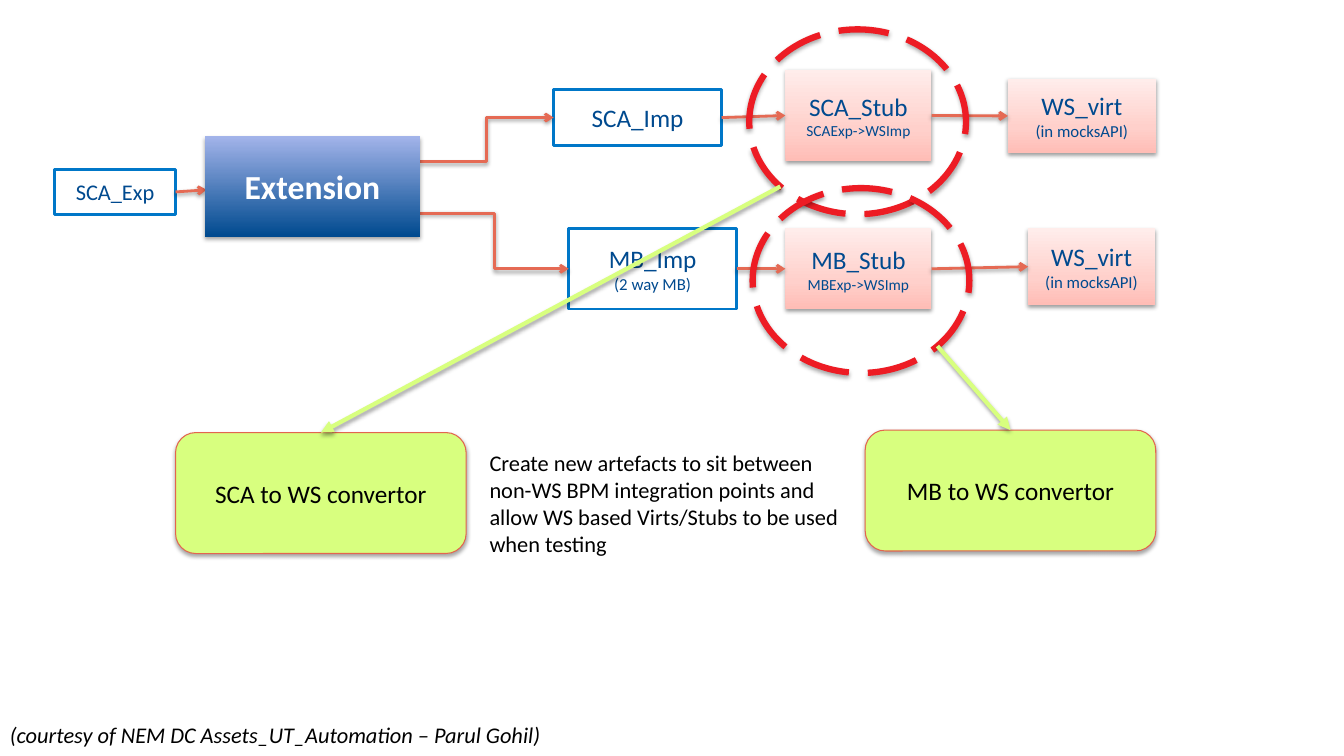
from copy import deepcopy
from lxml.etree import SubElement
from pptx import Presentation
from pptx.dml.color import RGBColor
from pptx.enum.dml import MSO_LINE
from pptx.enum.shapes import MSO_CONNECTOR as LINK, MSO_SHAPE as SHAPE
from pptx.enum.text import MSO_ANCHOR, PP_ALIGN
from pptx.oxml.ns import qn
from pptx.util import Inches, Pt

WIDTH, HEIGHT = Inches(13.33), Inches(7.5)
COLUMN, ROW = WIDTH / 16, HEIGHT / 9
FONT = "Calibri"
COLORS = {
    "navy": "004A8F", "blue": "0077C8", "periwinkle": "A3B4EA",
    "rose": "FFBDB6", "blush": "FFD0CB", "pale": "FFEDEB",
    "coral": "E56A54", "rust": "E3654F", "lime": "D8FF7F",
    "red": "ED1C24", "black": "000000", "white": "FFFFFF",
}
STUB_STOPS = [(0, "rose"), (0.35, "blush"), (1, "pale")]
EXTENSION_STOPS = [(0, "navy"), (1, "periwinkle")]
TOP, LEFT, BOTTOM, RIGHT = range(4)


def rgb(name):
    return RGBColor.from_string(COLORS[name])


def place(column, row):
    return round(column * COLUMN), round(row * ROW)


def add_shadow(spPr, distance=1.8, opacity=35):
    effects = spPr.find(qn("a:effectLst"))
    if effects is None:
        effects = SubElement(spPr, qn("a:effectLst"))
    shadow = SubElement(effects, qn("a:outerShdw"), blurRad=str(Pt(3.1)),
                        dist=str(Pt(distance)), dir="5400000", rotWithShape="0")
    color = SubElement(shadow, qn("a:srgbClr"), val=COLORS["black"])
    SubElement(color, qn("a:alpha"), val=str(opacity * 1000))


def write(frame, lines, color, bold=None, italic=None, align=None):
    frame.word_wrap = True
    frame.text = "\n".join(text for text, size in lines)
    for paragraph, (text, size) in zip(frame.paragraphs, lines):
        paragraph.alignment = align
        for run in paragraph.runs:
            font = run.font
            font.name, font.size = FONT, Pt(size)
            font.bold, font.italic = bold, italic
            font.color.rgb = rgb(color)


def add_block(slide, kind, grid, lines=(), text_color="navy", bold=None,
              fill=None, stops=None, outline=None, weight=2):
    block = slide.shapes.add_shape(kind, *place(*grid[:2]), *place(*grid[2:]))
    block.shadow.inherit = False
    if stops:
        block.fill.gradient()
        block.fill.gradient_angle = 90
        stop_list = block._element.spPr.find(".//" + qn("a:gsLst"))
        while len(stop_list) < len(stops):
            stop_list.append(deepcopy(stop_list[0]))
        for stop, (position, color) in zip(block.fill.gradient_stops, stops):
            stop.position, stop.color.rgb = position, rgb(color)
    elif fill:
        block.fill.solid()
        block.fill.fore_color.rgb = rgb(fill)
    else:
        block.fill.background()
    if outline:
        block.line.color.rgb = rgb(outline)
        block.line.width = Pt(weight)
    else:
        block.line.fill.background()
    if lines:
        block.text_frame.vertical_anchor = MSO_ANCHOR.MIDDLE
        write(block.text_frame, lines, text_color, bold, align=PP_ALIGN.CENTER)
    return block


def add_step(slide, grid, *lines):
    return add_block(slide, SHAPE.RECTANGLE, grid, lines, outline="blue")


def add_stub(slide, grid, *lines):
    stub = add_block(slide, SHAPE.RECTANGLE, grid, lines, stops=STUB_STOPS)
    add_shadow(stub._element.spPr, 1.6, 38)
    return stub


def add_highlight(slide, column, row):
    ring = add_block(slide, SHAPE.OVAL, (column, row, 2.58, 2.2),
                     outline="red", weight=4.5)
    ring.line.dash_style = MSO_LINE.LONG_DASH
    add_shadow(ring._element.spPr)


def add_convertor(slide, column, row, label):
    convertor = add_block(slide, SHAPE.ROUNDED_RECTANGLE, (column, row, 3.46, 1.44),
                          [(label, 18)], "black", fill="lime", outline="rust", weight=0.75)
    add_shadow(convertor._element.spPr)
    return convertor


def add_arrow(slide, start=(0, 0), end=(0, 0), source=None, target=None, side=LEFT,
              kind=LINK.STRAIGHT, color="coral", weight=2, head="arrow"):
    arrow = slide.shapes.add_connector(kind, *place(*start), *place(*end))
    if source:
        arrow.begin_connect(source, RIGHT)
    if target:
        arrow.end_connect(target, side)
    arrow.line.color.rgb = rgb(color)
    arrow.line.width = Pt(weight)
    spPr = arrow._element.spPr
    SubElement(spPr.find(qn("a:ln")), qn("a:tailEnd"), type=head)
    add_shadow(spPr, 1.6, 38)


def add_note(slide, grid, text, italic=None):
    note = slide.shapes.add_textbox(*place(*grid[:2]), *place(*grid[2:]))
    write(note.text_frame, [(text, 16)], "black", italic=italic)


def main():
    deck = Presentation()
    deck.slide_width, deck.slide_height = WIDTH, HEIGHT
    slide = deck.slides.add_slide(deck.slide_layouts[6])

    sca_exp = add_step(slide, (0.65, 2.02, 1.44, 0.53), ("SCA_Exp", 16))
    sca_imp = add_step(slide, (6.59, 1.07, 2, 0.66), ("SCA_Imp", 18))
    mb_imp = add_step(slide, (6.77, 2.72, 2, 0.96), ("MB_Imp", 18), ("(2 way MB)", 12))
    virt_lines = ("WS_virt", 18), ("(in mocksAPI)", 12)
    sca_stub = add_stub(slide, (9.35, 0.83, 1.74, 1.09),
                        ("SCA_Stub", 18), ("SCAExp->WSImp", 11))
    sca_virt = add_stub(slide, (12, 0.94, 1.76, 0.88), *virt_lines)
    mb_stub = add_stub(slide, (9.35, 2.72, 1.74, 0.96),
                       ("MB_Stub", 18), ("MBExp->WSImp", 11))
    mb_virt = add_stub(slide, (12.24, 2.72, 1.51, 0.91), *virt_lines)

    add_arrow(slide, end=(2.46, 2.26), source=sca_exp)
    add_arrow(slide, (5, 1.92), (6.59, 1.4), kind=LINK.ELBOW)
    add_arrow(slide, (5, 2.54), (6.77, 3.2), kind=LINK.ELBOW)
    for chain in ((sca_imp, sca_stub, sca_virt), (mb_imp, mb_stub, mb_virt)):
        for source, target in zip(chain, chain[1:]):
            add_arrow(slide, source=source, target=target)

    extension = add_block(slide, SHAPE.RECTANGLE, (2.44, 1.62, 2.56, 1.2),
                          [("Extension", 24)], "white", True, stops=EXTENSION_STOPS)
    add_shadow(extension._element.spPr)
    add_note(slide, (0, 8.53, 6.92, 0.44),
             "(courtesy of NEM DC Assets_UT_Automation – Parul Gohil)", italic=True)

    add_highlight(slide, 8.92, 0.35)
    add_highlight(slide, 8.96, 2.24)
    sca_convertor = add_convertor(slide, 2.09, 5.15, "SCA to WS convertor")
    mb_convertor = add_convertor(slide, 10.3, 5.12, "MB to WS convertor")
    for start, convertor in (((9.29, 2.22), sca_convertor), ((11.16, 4.12), mb_convertor)):
        add_arrow(slide, start, target=convertor, side=TOP,
                  color="lime", weight=3, head="triangle")
    add_note(slide, (5.71, 5.29, 4.43, 1.42),
             "Create new artefacts to sit between non-WS BPM integration points "
             "and allow WS based Virts/Stubs to be used when testing")
    deck.save("out.pptx")


if __name__ == "__main__":
    main()
